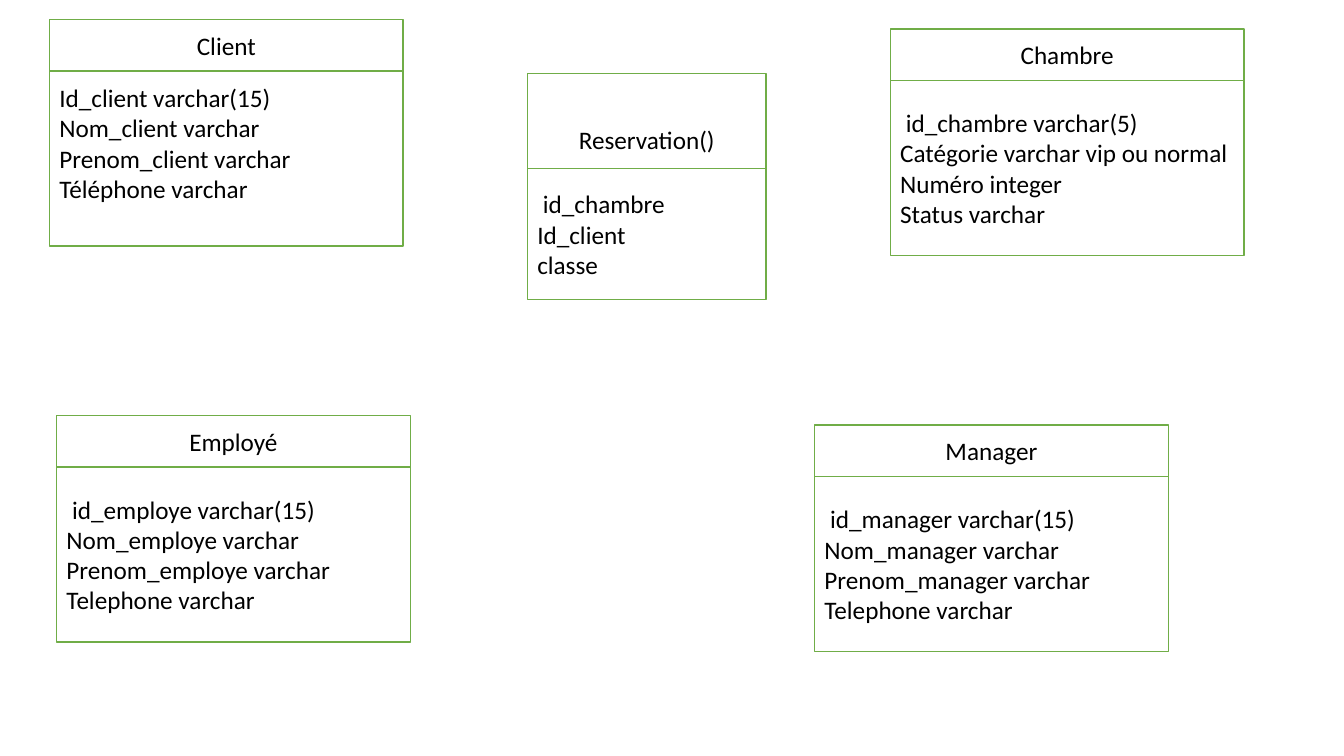
from pptx import Presentation
from pptx.dml.color import RGBColor
from pptx.enum.shapes import MSO_SHAPE
from pptx.enum.text import MSO_ANCHOR, PP_ALIGN
from pptx.util import Pt

RECTANGLE = MSO_SHAPE.RECTANGLE
MIDDLE = MSO_ANCHOR.MIDDLE
LEFT, CENTER = PP_ALIGN.LEFT, PP_ALIGN.CENTER

# Content: each entity with its name, fields and top left corner
ENTITIES = [
    ("Client", ["Id_client varchar(15)", "Nom_client varchar",
                "Prenom_client varchar", "Téléphone varchar"], 35.3, 13.9),
    ("Chambre", [" id_chambre varchar(5)", "Catégorie varchar vip ou normal",
                 "Numéro integer", "Status varchar"], 635.9, 20.7),
    ("Employé", [" id_employe varchar(15)", "Nom_employe varchar",
                 "Prenom_employe varchar", "Telephone varchar"], 40.4, 296.8),
    ("Manager", [" id_manager varchar(15)", "Nom_manager varchar",
                 "Prenom_manager varchar", "Telephone varchar"], 581.8, 303.7),
]
RESERVATION = ("Reservation()", [" id_chambre", "Id_client", "classe"], 376.7, 52.6)

# Sizes in points: width, name height, offset of the fields, fields height
ENTITY_SIZE = (252.7, 36.8, 36.8, 125)
RESERVATION_SIZE = (170.6, 93.6, 67.8, 93.6)
TEXT_SIZE = 18
LINE_HEIGHT = 22
INSET = 3.6

FONT = "Calibri"
WHITE, GREEN, BLACK = "FFFFFF", "70AD47", "000000"


def color(hex_string):
    return RGBColor.from_string(hex_string)


def add_box(page, lines, left, top, width, height, align, space_below=0):
    box = page.shapes.add_shape(RECTANGLE, Pt(left), Pt(top), Pt(width), Pt(height))
    box.shadow.inherit = False
    box.fill.solid()
    box.fill.fore_color.rgb = color(WHITE)
    box.line.color.rgb = color(GREEN)
    box.line.width = Pt(1)
    frame = box.text_frame
    frame.word_wrap = True
    frame.vertical_anchor = MIDDLE
    frame.margin_bottom = Pt(INSET + space_below)
    frame.text = "\n".join(lines)
    for para in frame.paragraphs:
        para.alignment = align
        for span in para.runs:
            span.font.name = FONT
            span.font.size = Pt(TEXT_SIZE)
            span.font.color.rgb = color(BLACK)


def add_entity(page, entity, size):
    name, fields, left, top = entity
    width, name_height, fields_offset, fields_height = size
    # The client's fields sit one line higher than centred
    space_below = LINE_HEIGHT if name == "Client" else 0
    add_box(page, [name], left, top, width, name_height, CENTER)
    add_box(page, fields, left, top + fields_offset, width, fields_height,
            LEFT, space_below)


def main():
    deck = Presentation()
    deck.slide_width, deck.slide_height = Pt(960), Pt(540)
    page = deck.slides.add_slide(deck.slide_layouts[6])

    # Four entities, then the reservation between them
    for entity in ENTITIES:
        add_entity(page, entity, ENTITY_SIZE)
    add_entity(page, RESERVATION, RESERVATION_SIZE)

    deck.save("out.pptx")


if __name__ == "__main__":
    main()
